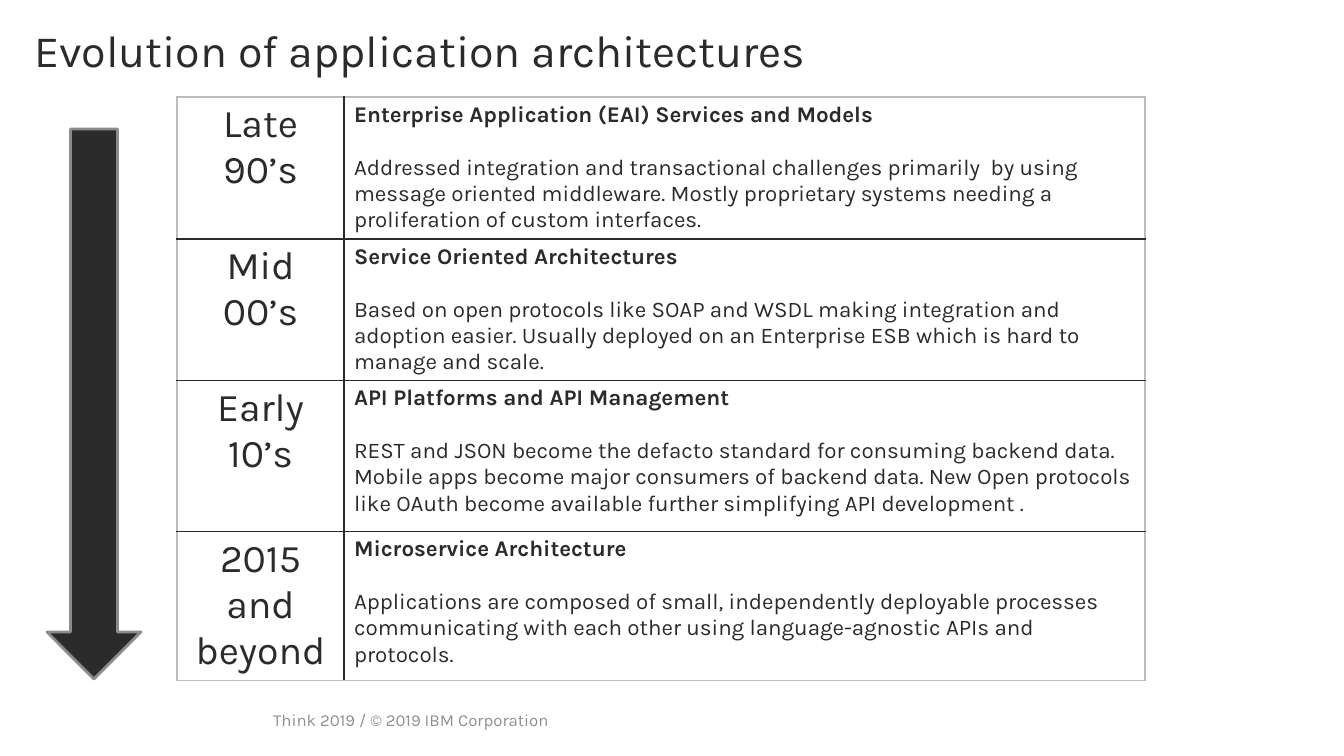
import pptx
import pptx.dml.color
import pptx.enum.shapes
import pptx.enum.text
import pptx.oxml.ns
import pptx.util
from lxml import etree

INK = pptx.dml.color.RGBColor(0x2B, 0x2B, 0x2B)
ARROW_EDGE = pptx.dml.color.RGBColor(0x8F, 0x8B, 0x8B)
FOOTER_GREY = pptx.dml.color.RGBColor(0x8F, 0x8F, 0x8F)
FRAME_GREY = pptx.dml.color.RGBColor(0xBD, 0xBD, 0xBD)
ALIGN = pptx.enum.text.PP_ALIGN
ANCHOR = pptx.enum.text.MSO_ANCHOR
EMU_PER_PX = 914400 / 100.8

ERAS = [
    ("Late 90’s", 142, "Enterprise Application (EAI) Services and Models",
     "Addressed integration and transactional challenges primarily  by using message oriented "
     "middleware. Mostly proprietary systems needing a proliferation of custom interfaces."),
    ("Mid 00’s", 141, "Service Oriented Architectures",
     "Based on open protocols like SOAP and WSDL making integration and adoption easier. "
     "Usually deployed on an Enterprise ESB which is hard to manage and scale."),
    ("Early 10’s", 151, "API Platforms and API Management",
     "REST and JSON become the defacto standard for consuming backend data. Mobile apps become "
     "major consumers of backend data. New Open protocols like OAuth become available further "
     "simplifying API development ."),
    ("2015 and beyond", 149, "Microservice Architecture",
     "Applications are composed of small, independently deployable processes communicating "
     "with each other using language-agnostic APIs and protocols."),
]


def px(length):
    return pptx.util.Emu(round(length * EMU_PER_PX))


class SlideBuilder:
    font = "Karla"

    def __init__(self, slide):
        self.slide = slide

    def set_text(self, paragraph, text, size, color=INK, bold=False, align=ALIGN.LEFT):
        paragraph.text = text
        paragraph.alignment = align
        for run in paragraph.runs:
            run.font.name = self.font
            run.font.size = pptx.util.Pt(size)
            run.font.bold = bold
            run.font.color.rgb = color

    def title(self, text, left, top, width, height):
        title = self.slide.shapes.title
        title.left, title.top, title.width, title.height = map(px, (left, top, width, height))
        frame = title.text_frame
        frame.margin_left = frame.margin_right = frame.margin_top = frame.margin_bottom = 0
        frame.vertical_anchor = ANCHOR.TOP
        frame.word_wrap = True
        frame.auto_size = pptx.enum.text.MSO_AUTO_SIZE.NONE
        self.set_text(frame.paragraphs[0], text, 32)
        frame.paragraphs[0].line_spacing = 0.9

    def down_arrow(self, left, top, width, height):
        arrow = self.slide.shapes.add_shape(
            pptx.enum.shapes.MSO_SHAPE.DOWN_ARROW, *map(px, (left, top, width, height)))
        arrow.shadow.inherit = False
        arrow.fill.solid()
        arrow.fill.fore_color.rgb = INK
        arrow.line.color.rgb = ARROW_EDGE
        arrow.line.width = pptx.util.Pt(2)

    def cell_borders(self, cell, colors):
        properties = cell._tc.get_or_add_tcPr()
        for index, (side, color) in enumerate(zip(("lnL", "lnR", "lnT", "lnB"), colors)):
            line = etree.Element(pptx.oxml.ns.qn(f"a:{side}"), w=str(pptx.util.Pt(1)))
            fill = etree.SubElement(line, pptx.oxml.ns.qn("a:solidFill"))
            etree.SubElement(fill, pptx.oxml.ns.qn("a:srgbClr"), val=str(color))
            properties.insert(index, line)

    def era_table(self, eras, left, top, column_widths):
        heights = [era[1] for era in eras]
        table = self.slide.shapes.add_table(
            len(eras), len(column_widths),
            *map(px, (left, top, sum(column_widths), sum(heights)))).table
        table.first_row = table.horz_banding = False
        for column, width in zip(table.columns, column_widths):
            column.width = px(width)
        for row, (period, height, heading, description) in enumerate(eras):
            table.rows[row].height = px(height)
            self.set_text(table.cell(row, 0).text_frame.paragraphs[0], period, 28,
                          align=ALIGN.CENTER)
            frame = table.cell(row, 1).text_frame
            self.set_text(frame.paragraphs[0], heading, 16, bold=True)
            body = frame.add_paragraph()
            self.set_text(body, description, 16)
            body.space_before = pptx.util.Pt(19)
            # Grey outer frame, dark inner rules
            for column in range(len(column_widths)):
                cell = table.cell(row, column)
                cell.fill.background()
                on_frame = (column == 0, column == len(column_widths) - 1,
                            row == 0, row == len(eras) - 1)
                self.cell_borders(cell, [FRAME_GREY if outer else INK for outer in on_frame])

    def footer(self, text, left, top, width, height):
        frame = self.slide.shapes.add_textbox(*map(px, (left, top, width, height))).text_frame
        frame.word_wrap = True
        frame.vertical_anchor = ANCHOR.MIDDLE
        self.set_text(frame.paragraphs[0], text, 12, FOOTER_GREY, align=ALIGN.CENTER)


def main():
    deck = pptx.Presentation()
    deck.slide_width, deck.slide_height = px(1344), px(756)
    builder = SlideBuilder(deck.slides.add_slide(deck.slide_layouts[5]))

    # Heading
    builder.title("Evolution of application architectures", 34, 29, 900, 56)

    # Eras, with the arrow of time beside them
    builder.era_table(ERAS, 177, 97, (167, 801))
    builder.down_arrow(47, 129, 94, 550)

    # Copyright line
    builder.footer("Think 2019 / © 2019 IBM Corporation", 184, 700, 454, 40)

    deck.save("out.pptx")


if __name__ == "__main__":
    main()
